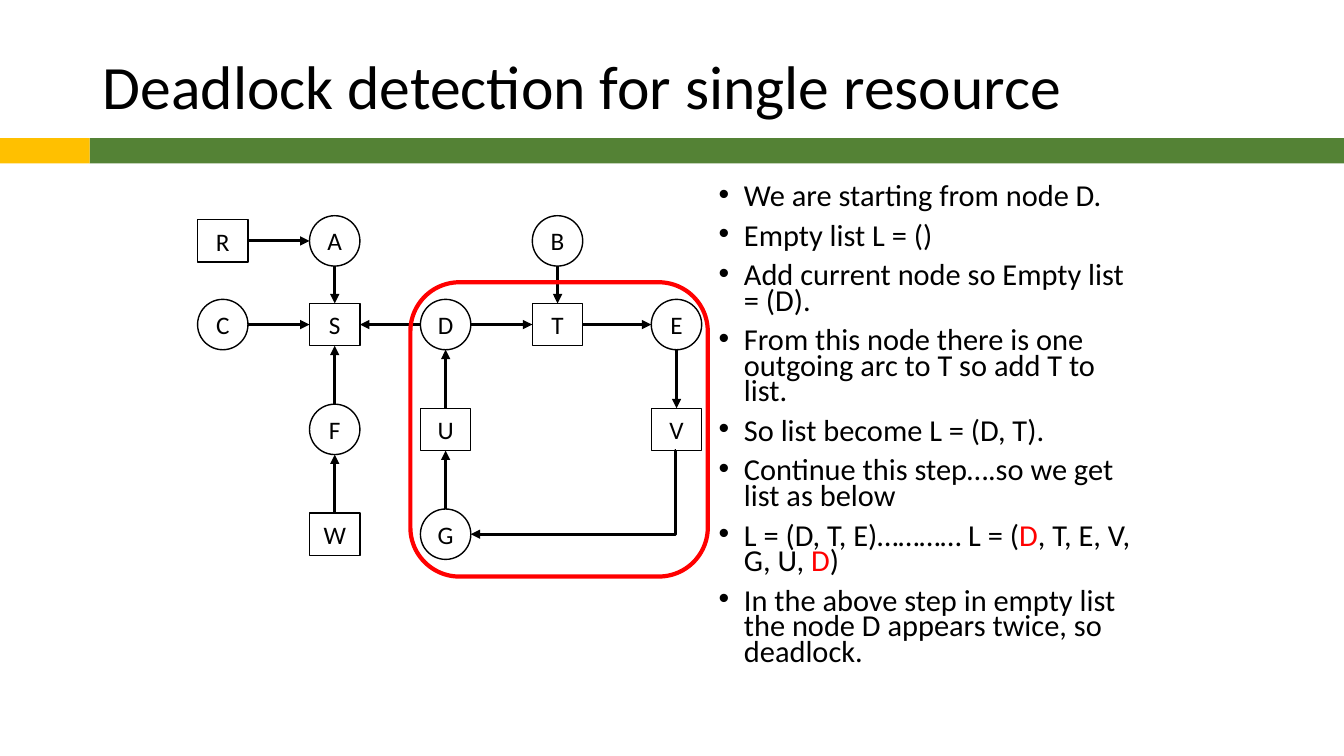
from dataclasses import dataclass

from pptx import Presentation
from pptx.dml.color import RGBColor
from pptx.enum.shapes import MSO_CONNECTOR, MSO_SHAPE
from pptx.enum.text import MSO_ANCHOR, PP_ALIGN
from pptx.oxml.ns import qn
from pptx.util import Inches, Pt
from lxml.etree import SubElement

BLACK = RGBColor(0, 0, 0)
WHITE = RGBColor(255, 255, 255)
RED = RGBColor(255, 0, 0)
GREEN = RGBColor(0x54, 0x82, 0x35)
GOLD = RGBColor(0xFF, 0xC0, 0)
FONT = "Calibri"

COLUMNS = (2.21, 3.32, 4.42, 5.53, 6.71)
ROWS = (2.39, 3.22, 4.26, 5.3)
NODE_WIDTH = 0.5
BOX_HEIGHT = 0.42


@dataclass(frozen=True)
class Node:
    """A process (circle) or a resource (box) at a grid place."""
    name: str
    column: int
    row: int
    is_process: bool

    @property
    def height(self) -> float:
        return NODE_WIDTH if self.is_process else BOX_HEIGHT

    def edge(self, across: int, down: int) -> tuple[float, float]:
        """Middle of the side that lies in the given direction (-1, 0 or 1)."""
        return (COLUMNS[self.column] + across * NODE_WIDTH / 2,
                ROWS[self.row] + down * self.height / 2)


NODES = {
    node.name: node
    for node in (
        Node("R", 0, 0, False), Node("A", 1, 0, True), Node("B", 3, 0, True),
        Node("C", 0, 1, True), Node("S", 1, 1, False), Node("D", 2, 1, True),
        Node("T", 3, 1, False), Node("E", 4, 1, True), Node("F", 1, 2, True),
        Node("U", 2, 2, False), Node("V", 4, 2, False), Node("W", 1, 3, False),
        Node("G", 2, 3, True),
    )
}
ARCS = ("RA", "CS", "DT", "TE", "DS", "BT", "EV", "AS", "UD", "FS", "GU", "WF")

# Text between bars is red.
STEPS = (
    "We are starting from node D.",
    "Empty list L = ()",
    "Add current node so Empty list = (D).",
    "From this node there is one outgoing arc to T so add T to list.",
    "So list become L = (D, T).",
    "Continue this step….so we get list as below",
    "L = (D, T, E)………… L = (|D|, T, E, V, G, U, |D|)",
    "In the above step in empty list the node D appears twice, so deadlock.",
)


def add_text(paragraph, text: str, *, size: float, color=BLACK,
             align=PP_ALIGN.LEFT, line_spacing: float = 1.0) -> None:
    paragraph.alignment = align
    paragraph.line_spacing = line_spacing
    for index, part in enumerate(text.split("|")):
        run = paragraph.add_run()
        run.text = part
        run.font.name = FONT
        run.font.size = Pt(size)
        run.font.color.rgb = RED if index % 2 else color


def add_text_frame(slide, left: float, top: float, width: float, height: float,
                   anchor=MSO_ANCHOR.TOP):
    box = slide.shapes.add_textbox(Inches(left), Inches(top), Inches(width), Inches(height))
    box.text_frame.word_wrap = True
    box.text_frame.vertical_anchor = anchor
    return box.text_frame


def add_shape(slide, kind, left: float, top: float, width: float, height: float, *,
              fill=None, line=None, line_width: float = 1):
    shape = slide.shapes.add_shape(kind, Inches(left), Inches(top), Inches(width), Inches(height))
    shape.shadow.inherit = False
    if fill is None:
        shape.fill.background()
    else:
        shape.fill.solid()
        shape.fill.fore_color.rgb = fill
    if line is None:
        shape.line.fill.background()
    else:
        shape.line.color.rgb = line
        shape.line.width = Pt(line_width)
    return shape


def add_node(slide, node: Node) -> None:
    kind = MSO_SHAPE.OVAL if node.is_process else MSO_SHAPE.RECTANGLE
    shape = add_shape(slide, kind, COLUMNS[node.column] - NODE_WIDTH / 2,
                      ROWS[node.row] - node.height / 2, NODE_WIDTH, node.height,
                      fill=WHITE, line=BLACK)
    shape.text_frame.vertical_anchor = MSO_ANCHOR.MIDDLE
    add_text(shape.text_frame.paragraphs[0], node.name, size=18, align=PP_ALIGN.CENTER)


def add_arrow(slide, kind, start: tuple[float, float], end: tuple[float, float]):
    connector = slide.shapes.add_connector(kind, *map(Inches, (*start, *end)))
    connector.line.color.rgb = BLACK
    connector.line.width = Pt(2.25)
    SubElement(connector.line._get_or_add_ln(), qn("a:tailEnd"), type="triangle")
    SubElement(connector._element.spPr, qn("a:effectLst"))
    return connector


def add_arc(slide, source: Node, target: Node) -> None:
    """Join the facing sides of two nodes in the same row or column."""
    across = (target.column > source.column) - (target.column < source.column)
    down = (target.row > source.row) - (target.row < source.row)
    add_arrow(slide, MSO_CONNECTOR.STRAIGHT,
              source.edge(across, down), target.edge(-across, -down))


def add_corner_arc(slide, source: Node, target: Node) -> None:
    """Go down from the source, then left to the target."""
    connector = add_arrow(slide, MSO_CONNECTOR.ELBOW, source.edge(0, 1), target.edge(1, 0))
    guides = connector._element.spPr.find(qn("a:prstGeom")).get_or_add_avLst()
    SubElement(guides, qn("a:gd"), name="adj1", fmla="val 600")


def add_steps(slide) -> None:
    frame = add_text_frame(slide, 7.03, 1.8, 4.39, 5.53)
    for index, step in enumerate(STEPS):
        paragraph = frame.add_paragraph() if index else frame.paragraphs[0]
        add_text(paragraph, step, size=21.7, line_spacing=0.7)
        paragraph.space_before = Pt(10 if index else 0)
        properties = paragraph._p.get_or_add_pPr()
        properties.set("marL", str(Inches(0.25)))
        properties.set("indent", str(-Inches(0.25)))
        SubElement(properties, qn("a:buFont"), typeface="Arial")
        SubElement(properties, qn("a:buChar"), char="•")


def main() -> None:
    presentation = Presentation()
    presentation.slide_width = Inches(13.33)
    presentation.slide_height = Inches(7.5)
    slide = presentation.slides.add_slide(presentation.slide_layouts[6])

    add_shape(slide, MSO_SHAPE.RECTANGLE, 0.89, 1.37, 12.44, 0.25, fill=GREEN)
    add_shape(slide, MSO_SHAPE.RECTANGLE, 0, 1.37, 0.89, 0.25, fill=GOLD)
    add_steps(slide)
    title = add_text_frame(slide, 0.92, 0.4, 11.5, 0.97, MSO_ANCHOR.MIDDLE)
    add_text(title.paragraphs[0], "Deadlock detection for single resource",
             size=44, line_spacing=0.9)

    for node in NODES.values():
        add_node(slide, node)
    for source, target in ARCS:
        add_arc(slide, NODES[source], NODES[target])
    add_corner_arc(slide, NODES["V"], NODES["G"])
    add_shape(slide, MSO_SHAPE.ROUNDED_RECTANGLE, 4.07, 2.8, 2.95, 2.92,
              line=RED, line_width=3)

    presentation.save("out.pptx")


if __name__ == "__main__":
    main()
